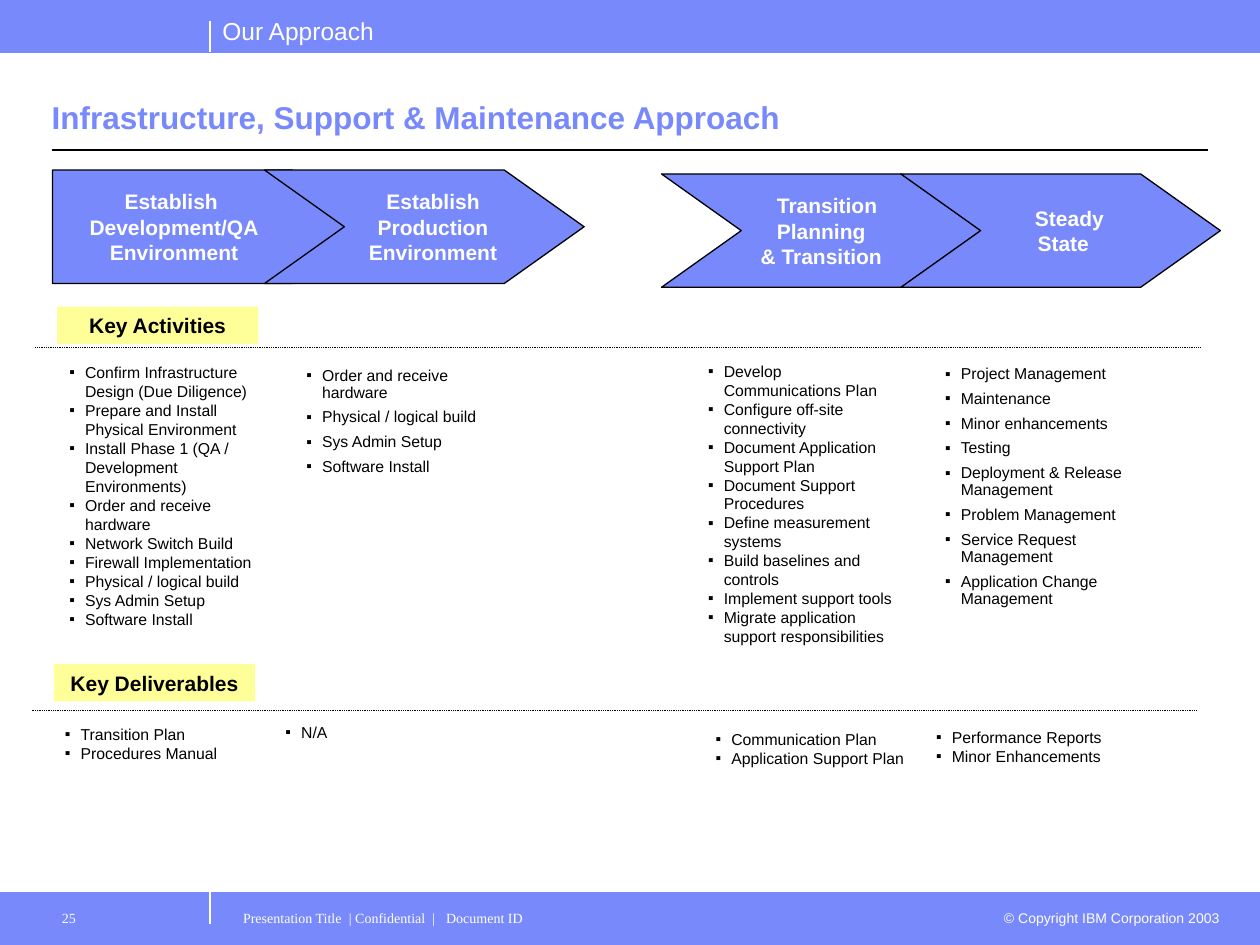
import pptx
import pptx.util
import pptx.dml.color
import pptx.enum.dml
import pptx.enum.shapes
import pptx.enum.text
import pptx.oxml.ns
import lxml.etree

Pt = pptx.util.Pt
ALIGN = pptx.enum.text.PP_ALIGN
ANCHOR = pptx.enum.text.MSO_ANCHOR
BLUE, WHITE, BLACK, YELLOW = "7889FB", "FFFFFF", "000000", "FFFF99"
MARGINS = (7.2, 3.6, 7.2, 3.6)


def color(text):
    return pptx.dml.color.RGBColor.from_string(text)


def child(parent, tag, **attrs):
    return lxml.etree.SubElement(parent, pptx.oxml.ns.qn(tag), **attrs)


class Deck:
    def __init__(self):
        self.prs = pptx.Presentation()
        self.prs.slide_width, self.prs.slide_height = Pt(720), Pt(540)
        # The comparison layout offers a title and four bodies.
        self.slide = self.prs.slides.add_slide(self.prs.slide_layouts[4])
        self.shapes = self.slide.shapes

    def place(self, shape, box):
        shape.left, shape.top, shape.width, shape.height = map(Pt, box)

    def frame(self, shape, insets=MARGINS, anchor=ANCHOR.TOP, wrap=True):
        frame = shape.text_frame
        frame.word_wrap = wrap
        frame.auto_size = pptx.enum.text.MSO_AUTO_SIZE.NONE
        frame.vertical_anchor = anchor
        (frame.margin_left, frame.margin_top,
         frame.margin_right, frame.margin_bottom) = map(Pt, insets)
        return frame

    def lines(self, frame, texts):
        """Yield one paragraph for each text."""
        for i, text in enumerate(texts):
            para = frame.add_paragraph() if i else frame.paragraphs[0]
            yield i, para, text

    def run(self, para, text, size, ink, bold=False, face="Arial"):
        run = para.add_run()
        run.text = text
        run.font.size, run.font.bold, run.font.name = Pt(size), bold, face
        run.font.color.rgb = color(ink)

    def paint(self, shape, fill, line=None):
        shape.shadow.inherit = False
        shape.fill.solid()
        shape.fill.fore_color.rgb = color(fill)
        if line:
            shape.line.color.rgb = color(line)
            shape.line.width = Pt(0.75)
        else:
            shape.line.fill.background()

    def title(self, text, box):
        shape = self.shapes.title
        self.place(shape, box)
        para = self.frame(shape, (0, 3.6, 0, 3.6), ANCHOR.BOTTOM).paragraphs[0]
        para.alignment = ALIGN.LEFT
        self.run(para, text, 18, BLUE, True)

    def rect(self, box, fill, line=None):
        kind = pptx.enum.shapes.MSO_SHAPE.RECTANGLE
        shape = self.shapes.add_shape(kind, *map(Pt, box))
        self.paint(shape, fill, line)
        return shape

    def label(self, text, box):
        frame = self.frame(self.rect(box, YELLOW), anchor=ANCHOR.MIDDLE, wrap=False)
        para = frame.paragraphs[0]
        para.alignment = ALIGN.CENTER
        self.run(para, text, 12, BLACK, True)

    def line(self, start, end, ink, width=0.75, dotted=False):
        kind = pptx.enum.shapes.MSO_CONNECTOR.STRAIGHT
        line = self.shapes.add_connector(kind, *map(Pt, start + end))
        line.line.color.rgb = color(ink)
        line.line.width = Pt(width)
        if dotted:
            line.line.dash_style = pptx.enum.dml.MSO_LINE.ROUND_DOT
        child(line._element.spPr, "a:effectLst")

    def text(self, text, box, size, face="Arial", align=ALIGN.LEFT,
             insets=MARGINS, wrap=True, tabs=()):
        shape = self.shapes.add_textbox(*map(Pt, box))
        para = self.frame(shape, insets, wrap=wrap).paragraphs[0]
        if tabs:
            stops = child(para._p.get_or_add_pPr(), "a:tabLst")
            for stop in tabs:
                child(stops, "a:tab", pos=str(Pt(stop)), algn="l")
        para.alignment = align
        self.run(para, text, size, WHITE, face=face)

    def arrow(self, left, top, rows, notch=True, right=7.2):
        """Draw a step; rows pair each text with its left indent."""
        width, height, point = 182.6, 64.8, 45.6
        mid, neck = top + height / 2, left + width - point
        dots = [(neck, top), (left + width, mid), (neck, top + height),
                (left, top + height)]
        if notch:
            dots.append((left + point, mid))
        path = self.shapes.build_freeform(Pt(left), Pt(top), 1.0)
        path.add_line_segments([(Pt(x), Pt(y)) for x, y in dots], close=True)
        shape = path.convert_to_shape()
        self.paint(shape, BLUE, BLACK)
        frame = self.frame(shape, (7.2, 3.6, right, 3.6), ANCHOR.MIDDLE)
        for _, para, (text, indent) in self.lines(frame, rows):
            para.alignment = ALIGN.CENTER
            para._p.get_or_add_pPr().set("marL", str(Pt(indent)))
            self.run(para, text, 12, WHITE, True)

    def bullets(self, box, texts, spaced=False, shape=None):
        shape = shape or self.shapes.add_textbox(*map(Pt, box))
        self.place(shape, box)
        for i, para, text in self.lines(self.frame(shape), texts):
            props = para._p.get_or_add_pPr()
            props.set("marL", str(Pt(9)))
            props.set("indent", str(-Pt(9)))
            child(child(props, "a:buClr"), "a:srgbClr", val=BLACK)
            child(props, "a:buFont", typeface="Arial")
            child(props, "a:buChar", char="▪")
            para.alignment = ALIGN.LEFT
            para.line_spacing = 0.9 if spaced else 1.0
            para.space_before = Pt(2.8 if spaced and i else 0)
            para.space_after = Pt(1.6 if spaced else 0)
            self.run(para, text, 9, BLACK)


ACTIVITIES = [
    ((32.4, 203.8, 125.3, 159), False, [
        "Confirm Infrastructure Design (Due Diligence)",
        "Prepare and Install Physical Environment",
        "Install Phase 1 (QA / Development Environments)",
        "Order and receive hardware", "Network Switch Build",
        "Firewall Implementation", "Physical / logical build",
        "Sys Admin Setup", "Software Install"]),
    ((167.8, 206.4, 126.7, 69), True, [
        "Order and receive hardware", "Physical / logical build",
        "Sys Admin Setup", "Software Install"]),
    ((397.4, 203, 125.3, 170), False, [
        "Develop Communications Plan", "Configure off-site connectivity",
        "Document Application Support Plan", "Document Support Procedures",
        "Define measurement systems", "Build baselines and controls",
        "Implement support tools",
        "Migrate application support responsibilities"]),
    ((532.8, 205.6, 126.7, 159), True, [
        "Project Management", "Maintenance", "Minor enhancements", "Testing",
        "Deployment & Release Management", "Problem Management",
        "Service Request Management", "Application Change Management"]),
]
RESULTS = [
    ((30, 410.6, 132, 90), ["Transition Plan", "Procedures Manual"]),
    ((156, 409.6, 132, 95), ["N/A"]),
    ((401.8, 413.4, 132, 90), ["Communication Plan", "Application Support Plan"]),
    ((527.8, 412.4, 132, 95), ["Performance Reports", "Minor Enhancements"]),
]
STEPS = [
    (151.2, 97.2, [("Establish", 10), ("Production", 10), ("Environment", 10)]),
    (378, 99.4, [("Transition ", 10), ("Planning", 0), ("& Transition", 0)]),
    (514.8, 99.4, [("Steady", 10), ("State", 3)]),
]


def main():
    deck = Deck()
    for top in (510, 0):
        deck.rect((0, top, 720, 30), BLUE, BLUE)
    for top in (510, 12):
        deck.line((120, top), (120, top + 18), WHITE)
    deck.line((29.5, 85.7), (690.5, 85.7), BLACK)
    deck.title("Infrastructure, Support & Maintenance Approach",
               (29.5, 37.4, 661, 44))

    deck.arrow(30, 97.2, [("Establish ", 0), ("Development/QA", 0),
                          ("Environment", 0)], notch=False, right=50.6)
    for left, top, rows in STEPS:
        deck.arrow(left, top, rows)

    for left, top in ((20.2, 198.5), (18, 406.2)):
        deck.line((left, top), (left + 666, top), BLACK, 0.5, True)
    bodies = list(deck.slide.placeholders)[1:]
    for body, (box, spaced, texts) in zip(bodies, ACTIVITIES):
        deck.bullets(box, texts, spaced, body)
    for box, texts in RESULTS:
        deck.bullets(box, texts)
    deck.label("Key Activities", (32.6, 175.2, 115, 21.4))
    deck.label("Key Deliverables", (30.8, 379.4, 115, 21.4))

    deck.text("Our Approach", (120, 5.8, 103, 24.5), 14, wrap=False)
    deck.text("© Copyright IBM Corporation 2003", (563.8, 516.2, 140.4, 17.3),
              8, align=ALIGN.RIGHT)
    deck.text("Presentation Title\t| Confidential\t|\tDocument ID",
              (131.8, 514.8, 432, 25.2), 8, "Times New Roman",
              insets=(7.2, 5, 7.2, 3.6), tabs=(60.5, 108, 116))
    deck.text("25", (23.8, 514.8, 95.8, 25.2), 8, "Times New Roman",
              insets=(11.5, 5, 7.2, 3.6))
    deck.prs.save("out.pptx")


if __name__ == "__main__":
    main()
